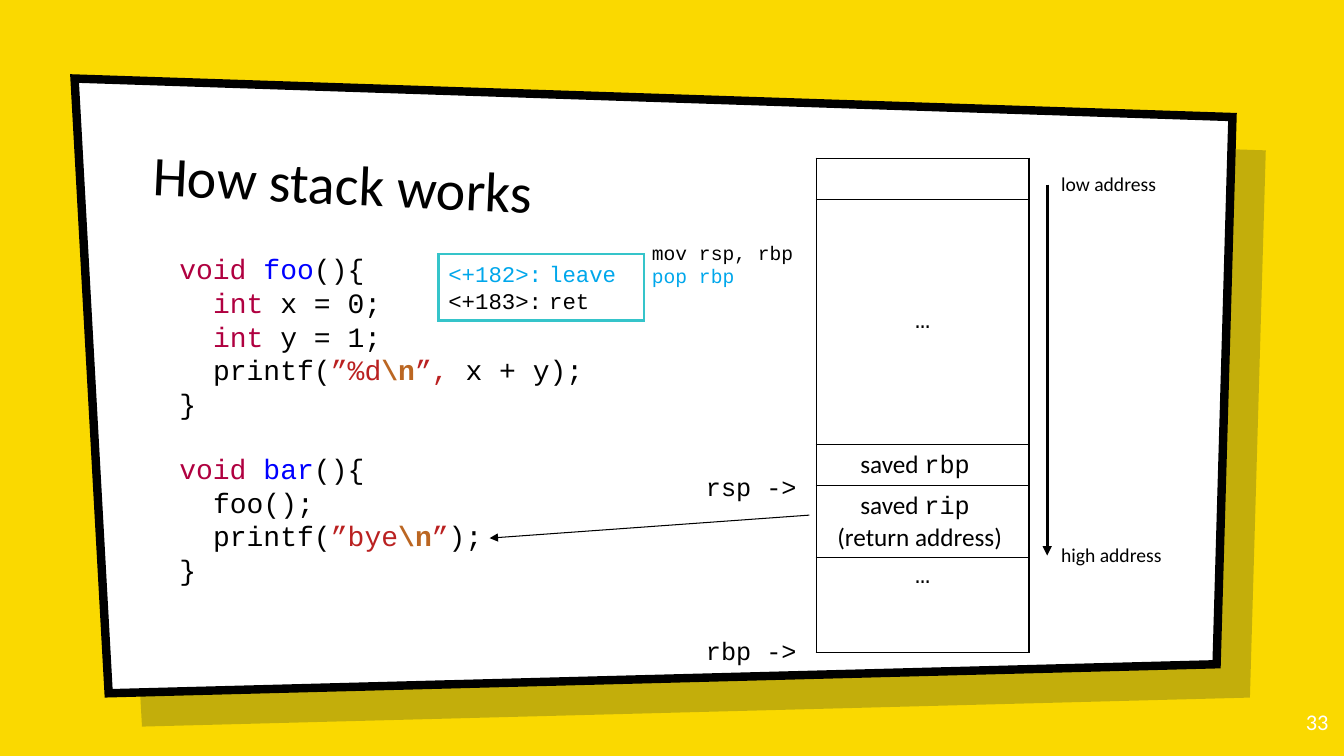
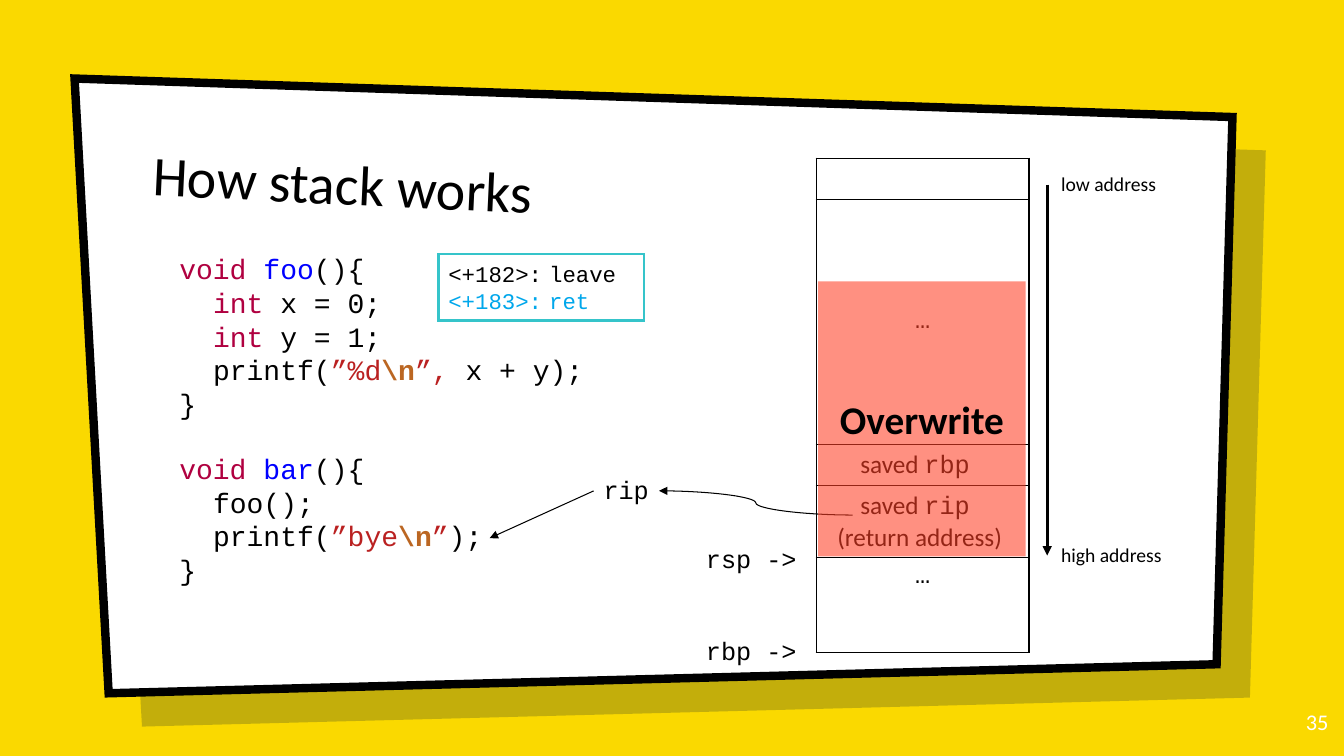
from collections import namedtuple
from dataclasses import dataclass
from lxml.etree import SubElement
from pptx import Presentation
from pptx.dml.color import RGBColor
from pptx.enum.shapes import MSO_CONNECTOR as Link, MSO_SHAPE as Preset
from pptx.enum.text import MSO_ANCHOR as Anchor, MSO_AUTO_SIZE as AutoSize, PP_ALIGN as Align
from pptx.oxml.ns import qn
from pptx.util import Cm, Pt

# Shared style; all lengths are centimetres
YELLOW, BLACK, WHITE, NAVY = "FAD900", "000000", "FFFFFF", "001936"
TEAL, CYAN, CORAL = "35C4CA", "00A7EB", "FF4026"
KEYWORD, NAME, STRING, ESCAPE = "B00040", "0000FF", "BA2121", "BB6622"
SANS, MONO = "Calibri", "Courier New"

Box = namedtuple("Box", "left top width height")
CARD = Box(1.88, 1.98, 29.18, 15.49)
TITLE = Box(3.61, 3.25, 26.04, 2.82)
NUMBER = Box(31.7, 17.6, 2.03, 1.45)
CODE = Box(4.27, 6.22, 11.53, 9.65)
STACK = Box(20.57, 3.99, 5.36, 12.46)


@dataclass
class Span:
    text: str
    color: str = BLACK
    bold: bool = False
    font: str = MONO


@dataclass
class Line:
    spans: list
    indent: float = 0
    before: float = 0


def rgb(code):
    return RGBColor.from_string(code)


def emu(box):
    return [Cm(length) for length in box]


# Basic parts
def write(frame, lines, size, align=Align.LEFT):
    for index, line in enumerate(lines):
        para = frame.paragraphs[0] if index == 0 else frame.add_paragraph()
        para.alignment = align
        para.space_before = Pt(line.before)
        if line.indent:
            para._p.get_or_add_pPr().set("marL", str(Cm(line.indent)))
        for span in line.spans:
            run = para.add_run()
            run.text = span.text
            run.font.name, run.font.size = span.font, Pt(size)
            run.font.bold = span.bold
            run.font.color.rgb = rgb(span.color)


def label(page, box, lines, size, align=Align.LEFT, wrap=False, inset=None):
    shape = page.shapes.add_textbox(*emu(box))
    frame = shape.text_frame
    frame.word_wrap = wrap
    if not wrap:
        frame.auto_size = AutoSize.SHAPE_TO_FIT_TEXT
    if inset:
        frame.margin_left = frame.margin_right = Cm(inset)
        frame.margin_top = frame.margin_bottom = Cm(inset)
    write(frame, lines, size, align)
    return shape


def paint(shape, fill, line=None, width=0, opacity=100):
    shape.shadow.inherit = False
    shape.fill.solid()
    shape.fill.fore_color.rgb = rgb(fill)
    if opacity < 100:
        color = shape._element.spPr.find(".//" + qn("a:srgbClr"))
        SubElement(color, qn("a:alpha"), val=str(opacity * 1000))
    if line:
        shape.line.color.rgb = rgb(line)
        shape.line.width = Pt(width)
        SubElement(shape.line._get_or_add_ln(), qn("a:miter"), lim="800000")
    else:
        shape.line.fill.background()


def arrow(page, start, end, width=0.75, kind=Link.STRAIGHT):
    link = page.shapes.add_connector(kind, *emu(start + end))
    link.line.color.rgb = rgb(BLACK)
    link.line.width = Pt(width)
    SubElement(link.line._get_or_add_ln(), qn("a:tailEnd"), type="triangle")
    SubElement(link._element.spPr, qn("a:effectLst"))


# Slanted card with its shadow, title and page number
def slanted(page, box):
    corners = [(0, 0), (box.width, 0.97), (box.width - 0.4, box.height - 0.73), (0.86, box.height)]
    points = [(Cm(box.left + x), Cm(box.top + y)) for x, y in corners]
    builder = page.shapes.build_freeform(*points[0])
    builder.add_line_segments(points[1:], close=True)
    return builder.convert_to_shape()


def frame_page(page, title, number):
    shadow = CARD._replace(left=CARD.left + 0.84, top=CARD.top + 0.84)
    paint(slanted(page, shadow), NAVY, opacity=22)
    paint(slanted(page, CARD), WHITE, BLACK, 6)
    heading = label(page, TITLE, [Line([Span(title, font=SANS)])], 40, wrap=True, inset=0.25)
    heading.text_frame.vertical_anchor = Anchor.BOTTOM
    heading.rotation = 2.7
    label(page, NUMBER, [Line([Span(str(number), WHITE, font=SANS)])], 16,
          Align.RIGHT, wrap=True, inset=0.25)


# Source code of the two functions
def code_region(page, box):
    step = 0.85

    def header(name, before=0):
        return Line([Span("void ", KEYWORD), Span(name, NAME), Span("(){")], before=before)

    def declare(rest):
        return Line([Span("int", KEYWORD), Span(rest)], step)

    def output(text, closing, rest):
        return Line([Span("printf("), Span("”" + text, STRING), Span("\\n", ESCAPE, True),
                     Span(closing, STRING), Span(rest)], step)

    label(page, box, [
        header("foo"), declare(" x = 0;"), declare(" y = 1;"),
        output("%d", "”, ", "x + y);"), Line([Span("}")]),
        header("bar", before=22.7), Line([Span("foo();")], step),
        output("bye", "”", ");"), Line([Span("}")]),
    ], 20, wrap=True)


# Stack table, address axis and register pointers
def border(cell):
    props = cell._tc.get_or_add_tcPr()
    for side in ("L", "R", "T", "B"):
        edge = SubElement(props, qn("a:ln" + side), w=str(Pt(1)))
        SubElement(SubElement(edge, qn("a:solidFill")), qn("a:srgbClr"), val=BLACK)


def stack_region(page, box, rsp_top):
    dots = [Line([Span("…")])]
    saved = Span("saved ", font=SANS)
    rows = [
        (1.04, []),
        (6.17, dots),
        (1.04, [Line([saved, Span("rbp ")])]),
        (1.8, [Line([saved, Span("rip ")]), Line([Span("(return address) ", font=SANS)])]),
        (2.41, dots),
    ]
    table = page.shapes.add_table(len(rows), 1, *emu(box)).table
    table.first_row = table.horz_banding = False
    for index, (height, lines) in enumerate(rows):
        table.rows[index].height = Cm(height)
        cell = table.cell(index, 0)
        border(cell)
        cell.fill.background()
        cell.margin_left = cell.margin_right = Cm(0.2)
        cell.margin_top = cell.margin_bottom = Cm(0.13)
        write(cell.text_frame, lines, 18, Align.CENTER)
    table.cell(1, 0).vertical_anchor = Anchor.MIDDLE

    for name, top in (("rsp", rsp_top), ("rbp", 11.89)):
        label(page, Box(box.left - 3.03, box.top + top, 2.82, 1.02),
              [Line([Span(name + " ->")])], 18)
    for text, top, width in (("low address", 0.23, 3.18), ("high address", 9.57, 3.33)):
        label(page, Box(box.left + 5.92, box.top + top, width, 0.86),
              [Line([Span(text, font=SANS)])], 14)
    axis = box.left + 5.82
    arrow(page, (axis, box.top + 0.66), (axis, box.top + 10.01), 2.25)


# Assembly steps, with the current one highlighted
def assembly_region(page, box, current):
    shape = page.shapes.add_shape(Preset.RECTANGLE, *emu(box))
    paint(shape, WHITE, TEAL, 2)
    steps = (("<+182>:", "leave"), ("<+183>:", "ret"))
    write(shape.text_frame,
          [Line([Span(f"{offset}\t{name}", CYAN if name == current else BLACK)])
           for offset, name in steps], 16)


def overwrite_region(page, box):
    shape = page.shapes.add_shape(Preset.RECTANGLE, *emu(box))
    paint(shape, CORAL, opacity=58)
    shape.text_frame.vertical_anchor = Anchor.MIDDLE
    write(shape.text_frame, [Line([Span("Overwrite", bold=True, font=SANS)])], 28, Align.CENTER)


# Slides
def stack_page(deck, number, rsp_top, current):
    page = deck.slides.add_slide(deck.slide_layouts[6])
    frame_page(page, "How stack works", number)
    code_region(page, CODE)
    stack_region(page, STACK, rsp_top)
    assembly_region(page, Box(CODE.left + 6.78, CODE.top + 0.18, 5.18, 1.68), current)
    return page


deck = Presentation()
deck.slide_width, deck.slide_height = Cm(33.87), Cm(19.05)
backdrop = deck.slide_master.background.fill
backdrop.solid()
backdrop.fore_color.rgb = rgb(YELLOW)
call_end = (CODE.left + 8.07, CODE.top + 7.34)
saved_rip = STACK.top + 8.99

# Leave: the saved address still points into bar
leave_page = stack_page(deck, 33, 7.77, "leave")
arrow(leave_page, (STACK.left - 0.17, saved_rip), call_end)
label(leave_page, Box(CODE.left + 11.91, CODE.top - 0.28, 4.09, 1.45),
      [Line([Span("mov rsp, rbp")]), Line([Span("pop rbp", CYAN)])], 14)

# Return: rip is loaded from the overwritten stack
return_page = stack_page(deck, 35, 9.57, "ret")
rip = Box(CODE.left + 10.69, CODE.top + 5.62, 1.65, 1.02)
rip_middle = rip.top + 0.53
arrow(return_page, (rip.left, rip_middle), call_end)
label(return_page, rip, [Line([Span("rip")])], 18)
arrow(return_page, (STACK.left + 0.92, saved_rip), (rip.left + rip.width, rip_middle),
      kind=Link.CURVE)
overwrite_region(return_page, Box(STACK.left + 0.05, STACK.top + 3.1, 5.23, 6.93))

deck.save("out.pptx")
